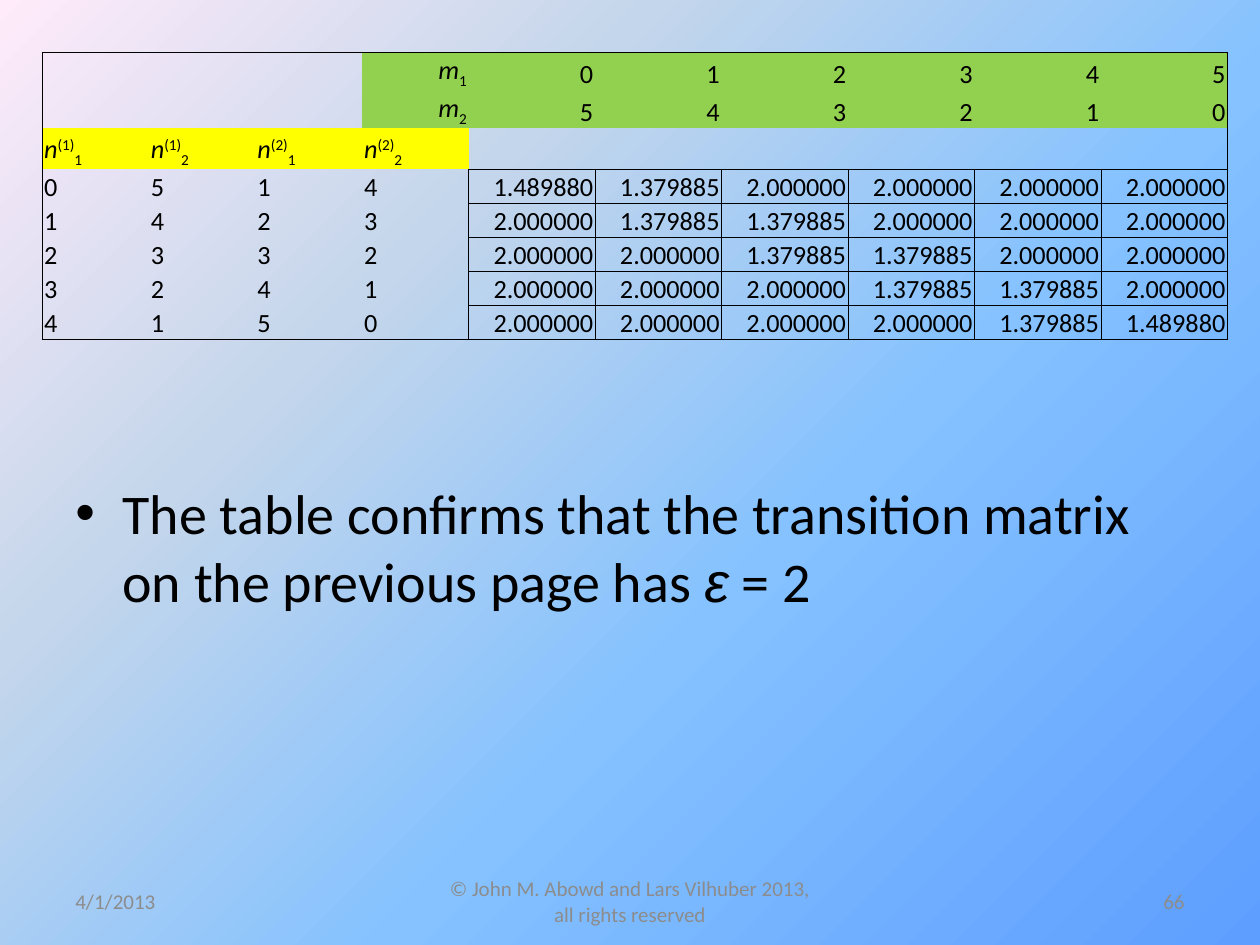
from lxml import etree
from pptx import Presentation
from pptx.dml.color import RGBColor
from pptx.enum.text import MSO_ANCHOR, PP_ALIGN
from pptx.oxml import parse_xml
from pptx.oxml.ns import nsdecls, qn
from pptx.util import Cm, Pt

LEFT, CENTER, RIGHT = PP_ALIGN.LEFT, PP_ALIGN.CENTER, PP_ALIGN.RIGHT
TOP, MIDDLE, BOTTOM = MSO_ANCHOR.TOP, MSO_ANCHOR.MIDDLE, MSO_ANCHOR.BOTTOM
BLACK = RGBColor(0x00, 0x00, 0x00)
GRAY = RGBColor(0x8C, 0x8C, 0x8C)
GREEN = RGBColor(0x92, 0xD0, 0x50)
YELLOW = RGBColor(0xFF, 0xFF, 0x00)
BACKDROP = [(0, "5E9EFF"), (40, "85C2FF"), (70, "C4D6EB"), (100, "FFEBFA")]
NO_STYLE_NO_GRID = "{2D5ABB26-0587-4C30-8999-92F81FD0307C}"
SUPER, SUB = 30, -25


def write(para, pieces, size, color, align=LEFT):
    """Fill a paragraph with (text, italic, baseline percent) pieces."""
    para.alignment = align
    para.font.name, para.font.size = "Calibri", Pt(size)
    para.font.color.rgb = color
    for text, italic, baseline in pieces:
        span = para.add_run()
        span.text = text
        if italic:
            span.font.italic = True
        if baseline:
            span.font._element.set("baseline", str(baseline * 1000))


def add_text(left, top, width, height, pieces, size, color, align, anchor):
    box = page.shapes.add_textbox(Cm(left), Cm(top), Cm(width), Cm(height))
    box.text_frame.word_wrap = True
    box.text_frame.vertical_anchor = anchor
    para = box.text_frame.paragraphs[0]
    write(para, pieces, size, color, align)
    return para


deck = Presentation()
deck.slide_width, deck.slide_height = Cm(25.4), Cm(19.05)
page = deck.slides.add_slide(deck.slide_layouts[6])

# Background gradient, spreading from the lower right corner
page.background.fill.solid()
solid = page.element.find(".//" + qn("p:bgPr")).find(qn("a:solidFill"))
stops = "".join(
    f'<a:gs pos="{pos * 1000}"><a:srgbClr val="{color}"/></a:gs>' for pos, color in BACKDROP
)
solid.getparent().replace(solid, parse_xml(
    f'<a:gradFill {nsdecls("a")} rotWithShape="1"><a:gsLst>{stops}</a:gsLst>'
    '<a:path path="circle"><a:fillToRect l="100000" t="100000"/></a:path></a:gradFill>'
))

# Statement
statement = add_text(
    1.27, 9.53, 22.86, 7.49,
    [("The table confirms that the transition matrix on the previous page has ", False, 0),
     ("ε", True, 0), (" = 2", False, 0)],
    32, BLACK, LEFT, TOP,
)
statement.runs[1].font.name = "Arial"
props = statement._p.get_or_add_pPr()
props.set("marL", str(Cm(0.95)))
props.set("indent", str(-Cm(0.95)))
bullet = parse_xml(f'<a:buChar {nsdecls("a")} char="•"/>')
bullet_font = parse_xml(f'<a:buFont {nsdecls("a")} typeface="Arial"/>')
space = parse_xml(f'<a:spcBef {nsdecls("a")}><a:spcPct val="20000"/></a:spcBef>')
for index, node in enumerate((space, bullet_font, bullet)):
    props.insert(index, node)

# Table contents: counts n on the left, m on top, log ratios between
LOW, EDGE, HIGH = "1.379885", "1.489880", "2.000000"
rows = [
    [[]] * 3 + [[("m", True, 0), ("1", False, SUB)]] + [[(str(m), False, 0)] for m in range(6)],
    [[]] * 3 + [[("m", True, 0), ("2", False, SUB)]] + [[(str(5 - m), False, 0)] for m in range(6)],
    [[("n", True, 0), (f"({group})", False, SUPER), (str(item), False, SUB)]
     for group in (1, 2) for item in (1, 2)] + [[]] * 6,
]
for n in range(5):
    ratios = [LOW if m in (n, n + 1) else HIGH for m in range(6)]
    if n == 0:
        ratios[0] = EDGE
    if n == 4:
        ratios[5] = EDGE
    rows.append([[(str(value), False, 0)] for value in (n, 5 - n, n + 1, 4 - n, *ratios)])

widths = [2.15] * 4 + [2.55] * 6
heights = [0.76, 0.76, 0.83] + [0.685] * 5
frame = page.shapes.add_table(
    len(rows), len(widths), Cm(0.85), Cm(1.06), Cm(sum(widths)), Cm(sum(heights))
)
table = frame.table
table.first_row = table.horz_banding = False
table._tbl.tblPr.find(qn("a:tableStyleId")).text = NO_STYLE_NO_GRID
for column, width in zip(table.columns, widths):
    column.width = Cm(width)
for row, height in zip(table.rows, heights):
    row.height = Cm(height)
table.cell(0, 0).merge(table.cell(1, 2))
table.cell(2, 4).merge(table.cell(2, 9))

for r, row in enumerate(rows):
    for c, pieces in enumerate(row):
        cell = table.cell(r, c)
        cell.vertical_anchor = BOTTOM
        cell.margin_left = cell.margin_right = cell.margin_top = Cm(0.04)
        cell.margin_bottom = 0
        align = RIGHT if r < 2 or c > 3 else LEFT
        write(cell.text_frame.paragraphs[0], pieces, 15, BLACK, align)

        if r < 2 and c > 2:
            cell.fill.solid()
            cell.fill.fore_color.rgb = GREEN
        elif r == 2 and c < 4:
            cell.fill.solid()
            cell.fill.fore_color.rgb = YELLOW
        else:
            cell.fill.background()

        # Lines run round the whole table and round every ratio
        last_row = r + (cell.span_height if cell.is_merge_origin else 1) - 1
        last_column = c + (cell.span_width if cell.is_merge_origin else 1) - 1
        ratio = r > 2 and c > 3
        sides = {
            "lnL": ratio or c == 0,
            "lnR": ratio or last_column == 9 or (r > 2 and c == 3),
            "lnT": ratio or r == 0,
            "lnB": ratio or last_row == 7 or (r == 2 and c > 3),
        }
        cell_props = cell._tc.get_or_add_tcPr()
        for index, (side, drawn) in enumerate(sides.items()):
            line = etree.Element(qn(f"a:{side}"), w=str(Pt(0.5)))
            if drawn:
                paint = etree.SubElement(line, qn("a:solidFill"))
                etree.SubElement(paint, qn("a:srgbClr"), val=str(BLACK))
            else:
                etree.SubElement(line, qn("a:noFill"))
            cell_props.insert(index, line)

# Footer
for left, width, text, align in (
    (1.27, 5.93, "4/1/2013", LEFT),
    (8.68, 8.04, "© John M. Abowd and Lars Vilhuber 2013, all rights reserved", CENTER),
    (18.2, 5.93, "66", RIGHT),
):
    add_text(left, 17.66, width, 1.01, [(text, False, 0)], 12, GRAY, align, MIDDLE)

deck.save("out.pptx")
